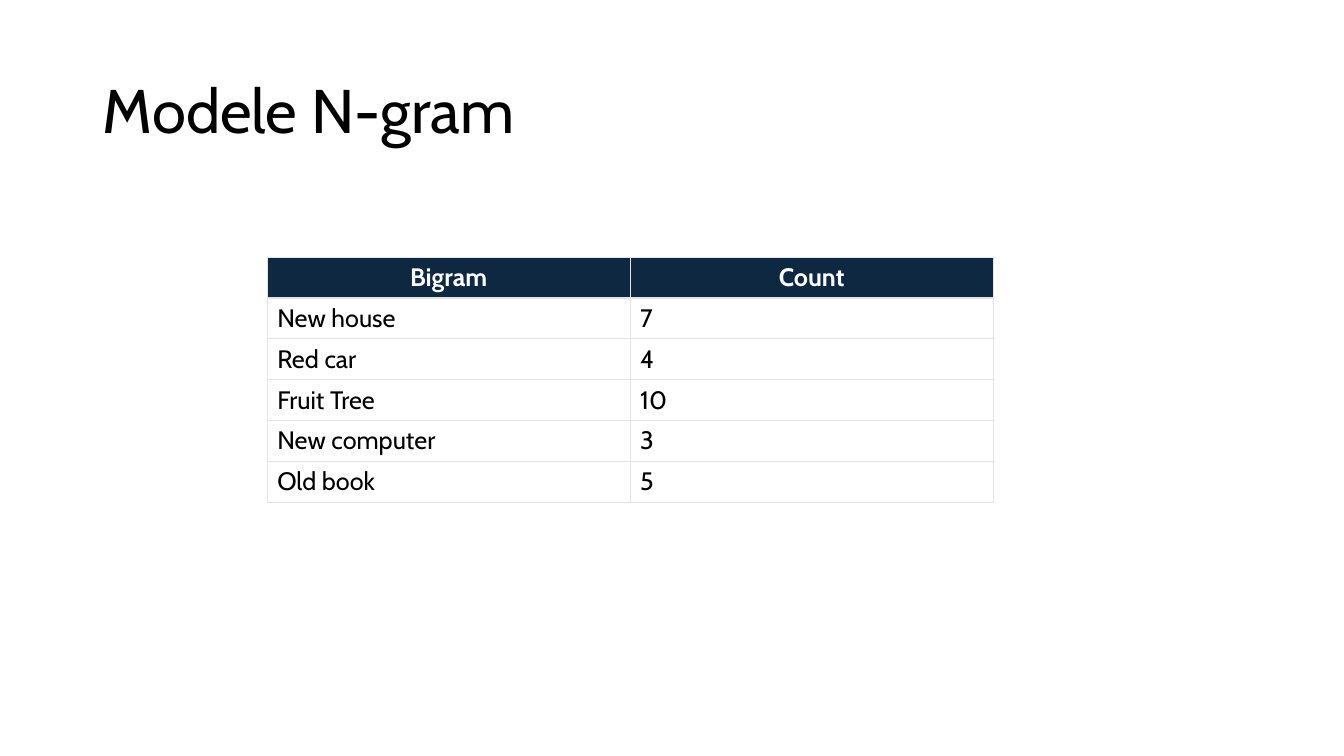
import pptx
import pptx.util
import pptx.dml.color
import pptx.enum.text
import pptx.oxml

# Content
TITLE = "Modele N-gram"
ROWS = [
    ("Bigram", "Count"),
    ("New house", "7"),
    ("Red car", "4"),
    ("Fruit Tree", "10"),
    ("New computer", "3"),
    ("Old book", "5"),
]

# Style
FONT = "Cabin"
BLACK = pptx.dml.color.RGBColor(0x00, 0x00, 0x00)
WHITE = pptx.dml.color.RGBColor(0xFF, 0xFF, 0xFF)
NAVY = pptx.dml.color.RGBColor(0x0E, 0x28, 0x41)
RULE = pptx.dml.color.RGBColor(0xE3, 0xE3, 0xE3)
ALIGN = pptx.enum.text.PP_ALIGN
ANCHOR = pptx.enum.text.MSO_ANCHOR
DRAWING_NS = "http://schemas.openxmlformats.org/drawingml/2006/main"

# Grid, in inches
TABLE_LEFT, TABLE_TOP = 2.65, 2.55
COL_WIDTH, ROW_HEIGHT = 3.6, 0.4
THIN, THICK = 0.75, 1


def write_text(tf, text, size=18, color=BLACK, bold=False, align=ALIGN.LEFT, spacing=None):
    p = tf.paragraphs[0]
    p.alignment = align
    p.line_spacing = spacing
    r = p.add_run()
    r.text = text
    r.font.name = FONT
    r.font.size = pptx.util.Pt(size)
    r.font.bold = bold
    r.font.color.rgb = color


def add_borders(cell, **widths):
    tc_pr = cell._tc.get_or_add_tcPr()
    for side, width in widths.items():
        tc_pr.append(pptx.oxml.parse_xml(
            f'<a:ln{side} xmlns:a="{DRAWING_NS}" w="{pptx.util.Pt(width)}">'
            f'<a:solidFill><a:srgbClr val="{RULE}"/></a:solidFill></a:ln{side}>'))


prs = pptx.Presentation()
prs.slide_width = pptx.util.Inches(13.33)
prs.slide_height = pptx.util.Inches(7.5)
s = prs.slides.add_slide(prs.slide_layouts[5])

# Title
title = s.shapes.title
title.left, title.top, title.width, title.height = map(
    pptx.util.Inches, (0.92, 0.4, 11.5, 1.45))
title.text_frame.vertical_anchor = ANCHOR.MIDDLE
write_text(title.text_frame, TITLE, size=44, spacing=0.9)

# Table
n_rows, n_cols = len(ROWS), len(ROWS[0])
table = s.shapes.add_table(
    n_rows, n_cols,
    pptx.util.Inches(TABLE_LEFT), pptx.util.Inches(TABLE_TOP),
    pptx.util.Inches(COL_WIDTH * n_cols), pptx.util.Inches(ROW_HEIGHT * n_rows)).table
table.horz_banding = False

for i, row in enumerate(ROWS):
    header = i == 0
    for j, text in enumerate(row):
        cell = table.cell(i, j)
        add_borders(cell, L=THIN, R=THIN,
                    T=THIN if header else THICK,
                    B=THIN if i == n_rows - 1 else THICK)
        if header:
            cell.fill.solid()
            cell.fill.fore_color.rgb = NAVY
            cell.vertical_anchor = ANCHOR.BOTTOM
            write_text(cell.text_frame, text, color=WHITE, bold=True, align=ALIGN.CENTER)
        else:
            cell.fill.background()
            cell.vertical_anchor = ANCHOR.MIDDLE
            write_text(cell.text_frame, text)

prs.save("out.pptx")
